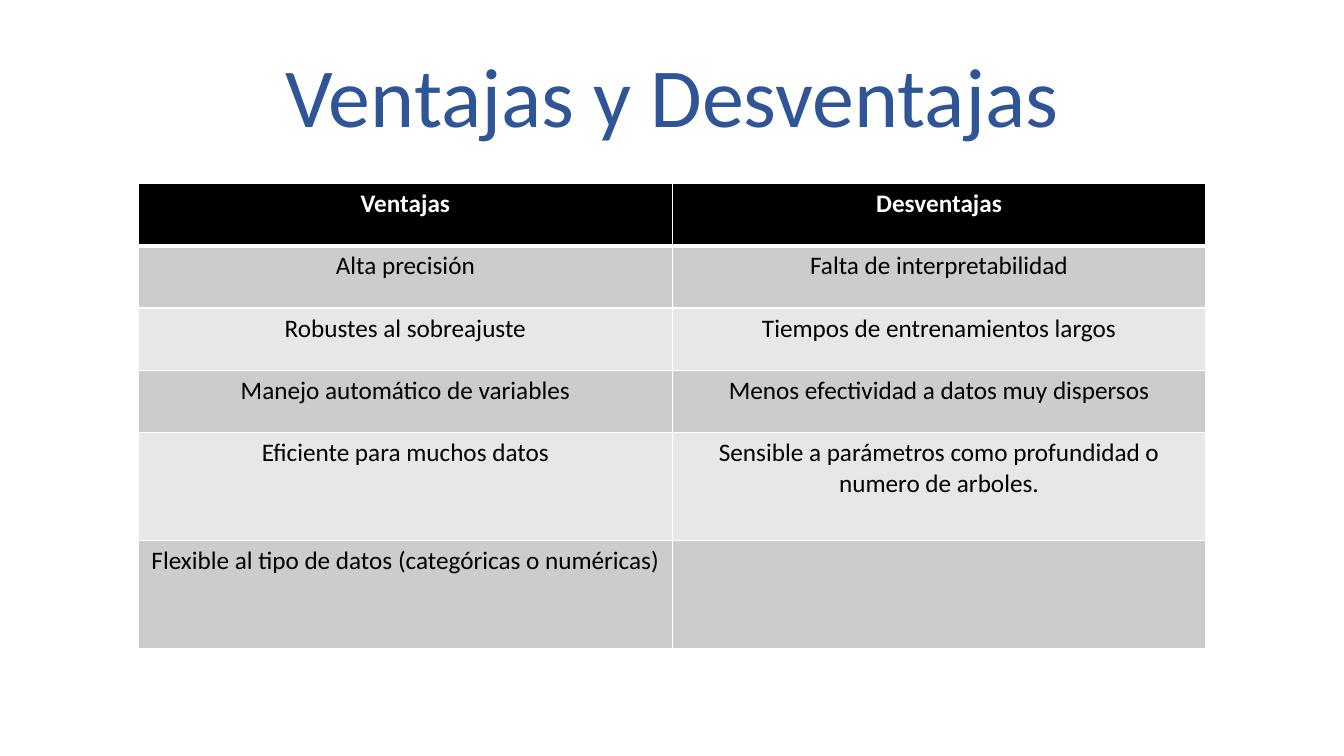
from lxml.etree import SubElement
from pptx import Presentation
from pptx.dml.color import RGBColor as RGB
from pptx.enum.text import MSO_ANCHOR as ANCHOR, PP_ALIGN as ALIGN
from pptx.oxml.ns import qn
from pptx.util import Cm, Pt

TITLE = "Ventajas y Desventajas"
ROWS = [
    ("Ventajas", "Desventajas"),
    ("Alta precisión", "Falta de interpretabilidad"),
    ("Robustes al sobreajuste", "Tiempos de entrenamientos largos"),
    ("Manejo automático de variables", "Menos efectividad a datos muy dispersos"),
    ("Eficiente para muchos datos",
     "Sensible a parámetros como profundidad o numero de arboles."),
    ("Flexible al tipo de datos (categóricas o numéricas)", ""),
]
COLORS = {"title": "2F5597", "header": "000000", "dark": "CCCCCC",
          "light": "E7E7E7", "white": "FFFFFF", "text": "000000"}
FORMATS = {
    "title": {"size": Pt(60), "name": "Calibri", "bold": False},
    "header": {"size": Pt(18), "name": "Calibri", "bold": True},
    "body": {"size": Pt(18), "name": "Calibri", "bold": False},
}
COL_W = Cm(13.45)
SHORT_ROW, TALL_ROW = Cm(1.57), Cm(2.72)
HEIGHTS = [SHORT_ROW] * 4 + [TALL_ROW] * 2


def write(tf, text, kind, color):
    p = tf.paragraphs[0]
    p.alignment = ALIGN.CENTER
    r = p.add_run()
    r.text = text
    for name, value in FORMATS[kind].items():
        setattr(r.font, name, value)
    r.font.color.rgb = RGB.from_string(COLORS[color])
    return p


def add_borders(cell, widths):
    tcPr = cell._tc.get_or_add_tcPr()
    for side, width in widths.items():
        ln = SubElement(tcPr, qn(f"a:ln{side}"), w=str(Pt(width)))
        fill = SubElement(ln, qn("a:solidFill"))
        SubElement(fill, qn("a:srgbClr"), val=COLORS["white"])


def add_title(s):
    box = s.shapes.add_textbox(Cm(2.33), Cm(0.9), Cm(29.21), Cm(3.28))
    tf = box.text_frame
    tf.word_wrap = True
    tf.vertical_anchor = ANCHOR.MIDDLE
    write(tf, TITLE, "title", "title").line_spacing = 0.9


def add_comparison(s):
    n_cols = len(ROWS[0])
    table = s.shapes.add_table(len(ROWS), n_cols, Cm(3.49), Cm(4.62),
                               COL_W * n_cols, sum(HEIGHTS)).table
    for col in table.columns:
        col.width = COL_W
    for i, (texts, height) in enumerate(zip(ROWS, HEIGHTS)):
        table.rows[i].height = height
        header = i == 0
        shade = "header" if header else ("light", "dark")[i % 2]
        widths = {"L": 1, "R": 1, "T": 3 if i == 1 else 1, "B": 3 if header else 1}
        for j, text in enumerate(texts):
            cell = table.cell(i, j)
            add_borders(cell, widths)
            cell.fill.solid()
            cell.fill.fore_color.rgb = RGB.from_string(COLORS[shade])
            if text:
                write(cell.text_frame, text, "header" if header else "body",
                      "white" if header else "text")


def main():
    prs = Presentation()
    prs.slide_width, prs.slide_height = Cm(33.87), Cm(19.05)
    s = prs.slides.add_slide(prs.slide_layouts[6])
    add_title(s)
    add_comparison(s)
    prs.save("out.pptx")


if __name__ == "__main__":
    main()
